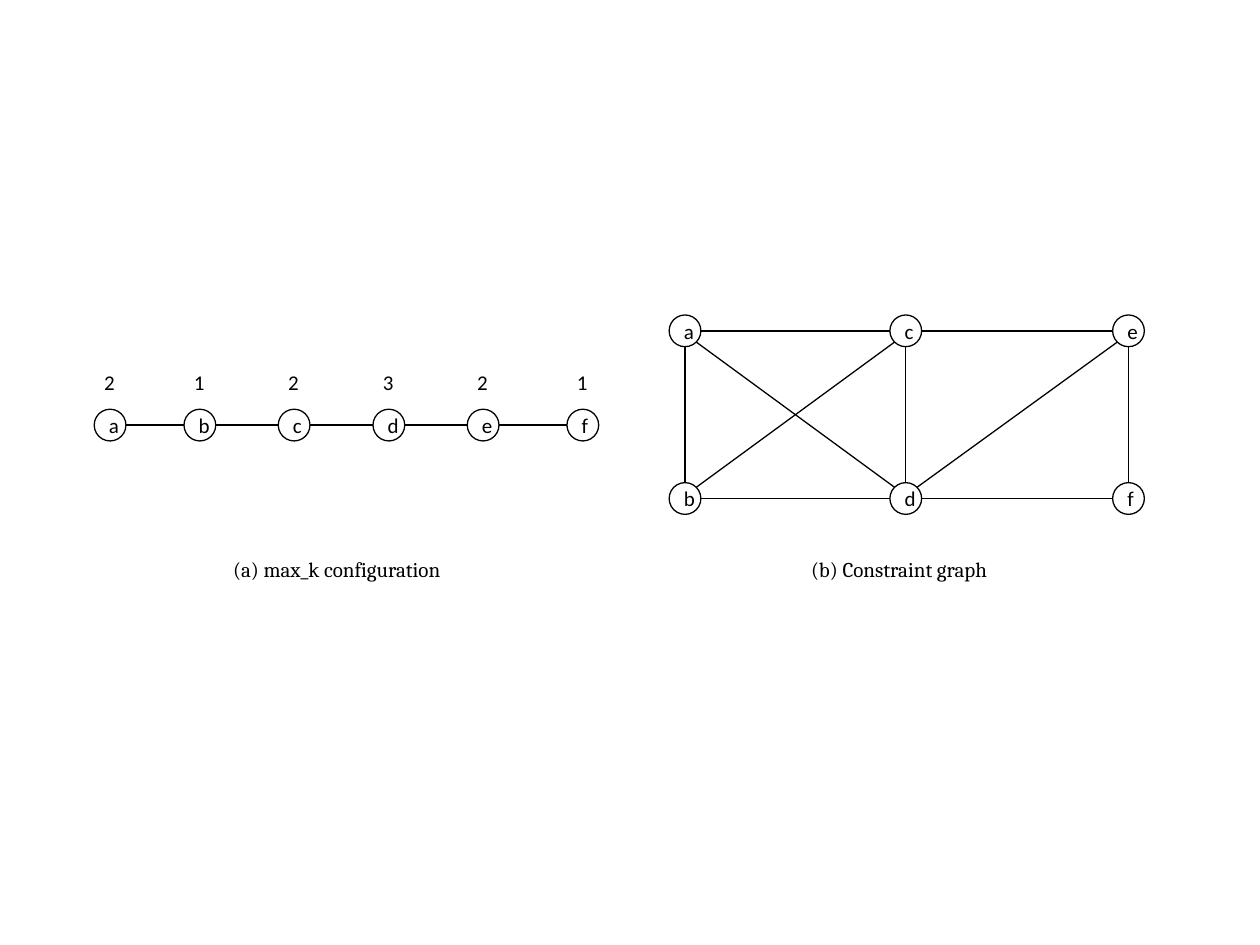
from dataclasses import dataclass
from math import copysign, hypot

from lxml.etree import SubElement
from pptx import Presentation
from pptx.dml.color import RGBColor
from pptx.enum.shapes import MSO_AUTO_SHAPE_TYPE, MSO_CONNECTOR
from pptx.enum.text import MSO_ANCHOR, MSO_AUTO_SIZE, PP_ALIGN
from pptx.oxml.ns import qn
from pptx.slide import Slide
from pptx.text.text import TextFrame
from pptx.util import Cm, Pt

BLACK = RGBColor(0x00, 0x00, 0x00)
WHITE = RGBColor(0xFF, 0xFF, 0xFF)
DIAMETER = 0.64
RADIUS = DIAMETER / 2
LINE_WIDTH = Pt(0.75)
TEXT_HEIGHT = 0.77


@dataclass(frozen=True)
class Node:
    name: str
    x: float
    y: float


def write_text(frame: TextFrame, text: str, font_name: str) -> None:
    frame.text = text
    font = frame.paragraphs[0].runs[0].font
    font.name = font_name
    font.size = Pt(12)
    font.color.rgb = BLACK


def draw_node(slide: Slide, node: Node) -> None:
    circle = slide.shapes.add_shape(
        MSO_AUTO_SHAPE_TYPE.OVAL,
        Cm(node.x - RADIUS), Cm(node.y - RADIUS), Cm(DIAMETER), Cm(DIAMETER),
    )
    circle.shadow.inherit = False
    circle.fill.solid()
    circle.fill.fore_color.rgb = WHITE
    circle.line.color.rgb = BLACK
    circle.line.width = LINE_WIDTH
    write_text(circle.text_frame, node.name, "Calibri")
    circle.text_frame.vertical_anchor = MSO_ANCHOR.MIDDLE
    circle.text_frame.paragraphs[0].alignment = PP_ALIGN.CENTER


def direction(start: float, end: float) -> float:
    return copysign(1, end - start) if start != end else 0


def draw_edge(slide: Slide, start: Node, end: Node) -> None:
    across, down = direction(start.x, end.x), direction(start.y, end.y)
    reach = RADIUS / hypot(across, down)
    edge = slide.shapes.add_connector(
        MSO_CONNECTOR.STRAIGHT,
        Cm(start.x + across * reach), Cm(start.y + down * reach),
        Cm(end.x - across * reach), Cm(end.y - down * reach),
    )
    edge.line.color.rgb = BLACK
    edge.line.width = LINE_WIDTH
    SubElement(edge._element.spPr, qn("a:effectLst"))


def draw_label(slide: Slide, text: str, left: float, top: float,
               width: float, font_name: str) -> None:
    label = slide.shapes.add_textbox(Cm(left), Cm(top), Cm(width), Cm(TEXT_HEIGHT))
    label.text_frame.word_wrap = True
    label.text_frame.auto_size = MSO_AUTO_SIZE.SHAPE_TO_FIT_TEXT
    write_text(label.text_frame, text, font_name)


def draw_graph(slide: Slide, nodes: list[Node], edges: list[str]) -> None:
    by_name = {node.name: node for node in nodes}
    for node in nodes:
        draw_node(slide, node)
    for start, end in edges:
        draw_edge(slide, by_name[start], by_name[end])


NAMES = "abcdef"
CHAIN_X = [2.22, 4.03, 5.93, 7.84, 9.74, 11.75]
CHAIN_Y = 8.57
MAX_K = "212321"
COLUMN_X = [13.81, 18.26, 22.75]
ROW_Y = [6.67, 10.05]
CONSTRAINTS = ["ab", "ac", "cb", "ce", "cd", "bd", "df", "ed", "ad", "ef"]

presentation = Presentation()
presentation.slide_width = Cm(25.4)
presentation.slide_height = Cm(19.05)
slide = presentation.slides.add_slide(presentation.slide_layouts[6])

chain = [Node(name, x, CHAIN_Y) for name, x in zip(NAMES, CHAIN_X)]
draw_graph(slide, chain, [right + left for left, right in zip(NAMES, NAMES[1:])])
for node, max_k in zip(chain, MAX_K):
    draw_label(slide, max_k, node.x - 0.37, 7.32, DIAMETER, "Calibri")

positions = [(x, y) for x in COLUMN_X for y in ROW_Y]
constraint_nodes = [Node(name, x, y) for name, (x, y) in zip(NAMES, positions)]
draw_graph(slide, constraint_nodes, CONSTRAINTS)

draw_label(slide, "(a) max_k configuration", 4.45, 11.1, 5.38, "Cambria")
draw_label(slide, "(b) Constraint graph", 16.1, 11.1, 4.37, "Cambria")

presentation.save("out.pptx")
